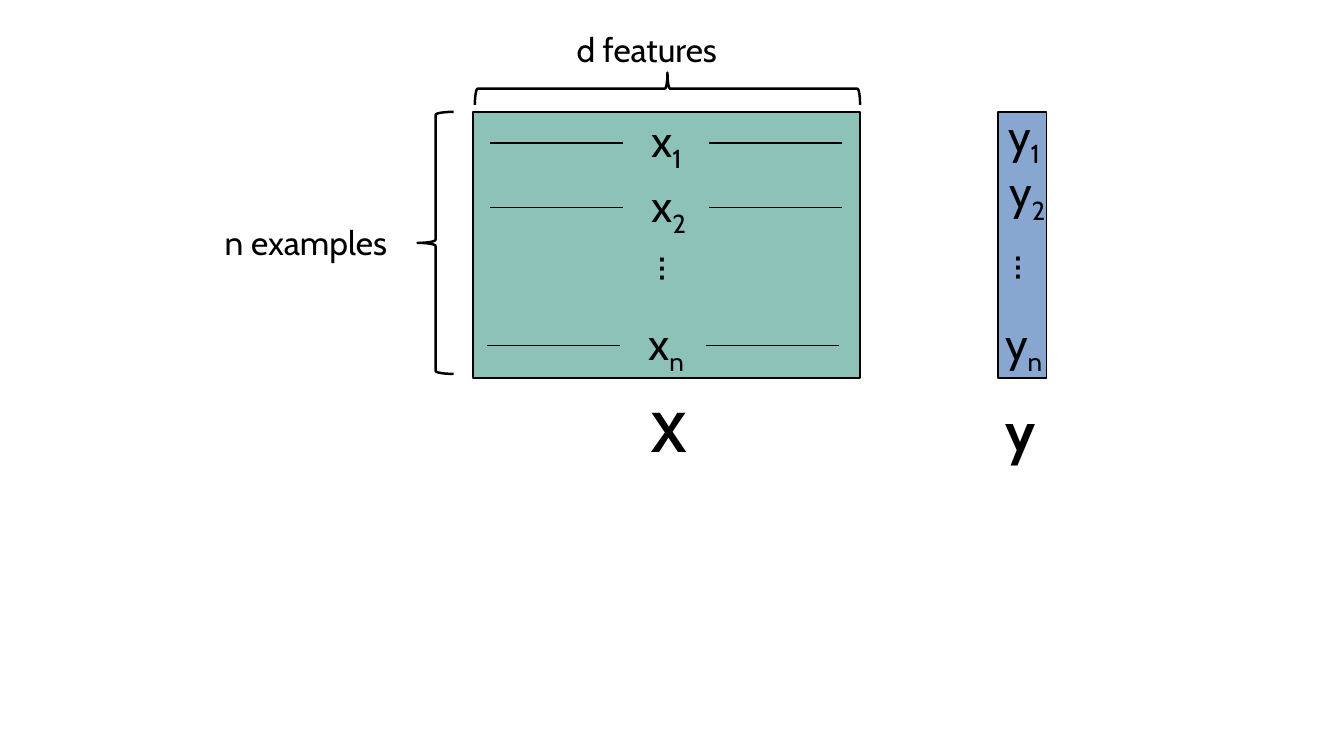
from dataclasses import dataclass

from lxml.etree import SubElement
from pptx import Presentation
from pptx.dml.color import RGBColor
from pptx.enum.shapes import MSO_CONNECTOR as Connector, MSO_SHAPE as Shape
from pptx.enum.text import MSO_ANCHOR as Anchor
from pptx.oxml.ns import qn
from pptx.util import Inches, Pt


@dataclass(frozen=True)
class Theme:
    font: str = "Cabin"
    ink: RGBColor = RGBColor(0x00, 0x00, 0x00)
    features: RGBColor = RGBColor(0x8C, 0xC2, 0xB7)
    targets: RGBColor = RGBColor(0x87, 0xA7, 0xD0)
    caption: int = 24
    entry: int = 32
    symbol: int = 40
    thin: float = 1
    brace: float = 1.75


THEME = Theme()


def add_text(slide, text, box, size=THEME.entry, sub="", bold=False, rotation=0):
    label = slide.shapes.add_textbox(*map(Inches, box))
    label.rotation = rotation
    frame = label.text_frame
    frame.word_wrap = True
    frame.margin_right = 0
    frame.vertical_anchor = Anchor.TOP
    paragraph = frame.paragraphs[0]
    for part, baseline in ((text, 0), (sub, -25000)):
        if not part:
            continue
        run = paragraph.add_run()
        run.text = part
        run.font.name = THEME.font
        run.font.size = Pt(size)
        run.font.bold = bold
        run.font.color.rgb = THEME.ink
        if baseline:
            run._r.get_or_add_rPr().set("baseline", str(baseline))


def add_outline(slide, preset, box, width, fill=None, rotation=0):
    outline = slide.shapes.add_shape(preset, *map(Inches, box))
    outline.shadow.inherit = False
    outline.rotation = rotation
    if fill is None:
        outline.fill.background()
    else:
        outline.fill.solid()
        outline.fill.fore_color.rgb = fill
    outline.line.color.rgb = THEME.ink
    outline.line.width = Pt(width)


def add_rule(slide, left, top, length):
    rule = slide.shapes.add_connector(
        Connector.STRAIGHT, Inches(left), Inches(top), Inches(left + length), Inches(top))
    rule.line.color.rgb = THEME.ink
    rule.line.width = Pt(THEME.thin)
    SubElement(rule._element.spPr, qn("a:effectLst"))


def add_block(slide, box, fill, letter, entries, dots, symbol, caption_left):
    """Filled block with indexed entries, an ellipsis and a symbol below it."""
    left, top, _, height = box
    add_outline(slide, Shape.RECTANGLE, box, THEME.thin, fill)
    for index, (dx, dy) in entries.items():
        add_text(slide, letter, (left + dx, top + dy, 0.67, 0.64), sub=index)
    add_text(slide, "...", (left + dots[0], top + dots[1], 0.67, 0.64), rotation=90)
    add_text(slide, symbol, (left + caption_left, top + height + 0.13, 0.67, 0.77),
             THEME.symbol, bold=True)


def add_feature_matrix(slide, box):
    left, top, _, _ = box
    rows = {"1": (1.67, -0.04), "2": (1.67, 0.6), "n": (1.64, 1.97)}
    add_block(slide, box, THEME.features, "x", rows, (1.7, 1.34), "X", 1.67)
    # Rules on both sides of each row label
    for dx, dy in rows.values():
        for offset in (-1.5, 0.67):
            add_rule(slide, left + dx + offset, top + dy + 0.35, 1.32)


def add_target_vector(slide, box):
    rows = {"1": (0, -0.09), "2": (0.01, 0.47), "n": (-0.03, 1.97)}
    add_block(slide, box, THEME.targets, "y", rows, (0.02, 1.33), "y", -0.03)


def add_dimensions(slide, box):
    """Braces and captions for the rows and columns of the matrix."""
    left, top, _, _ = box
    add_outline(slide, Shape.LEFT_BRACE, (left - 0.55, top, 0.36, 2.6), THEME.brace)
    add_text(slide, "n examples", (left - 2.56, top + 1.04, 2.82, 0.5), THEME.caption)
    add_outline(slide, Shape.LEFT_BRACE, (left + 1.77, top - 2.14, 0.32, 3.82),
                THEME.brace, rotation=90)
    add_text(slide, "d features", (left + 0.93, top - 0.87, 2.04, 0.5), THEME.caption)


def main():
    deck = Presentation()
    deck.slide_width, deck.slide_height = Inches(13.33), Inches(7.5)
    slide = deck.slides.add_slide(deck.slide_layouts[6])
    matrix = (4.69, 1.11, 3.84, 2.64)
    add_feature_matrix(slide, matrix)
    add_dimensions(slide, matrix)
    add_target_vector(slide, (9.9, 1.11, 0.48, 2.64))
    deck.save("out.pptx")


if __name__ == "__main__":
    main()
